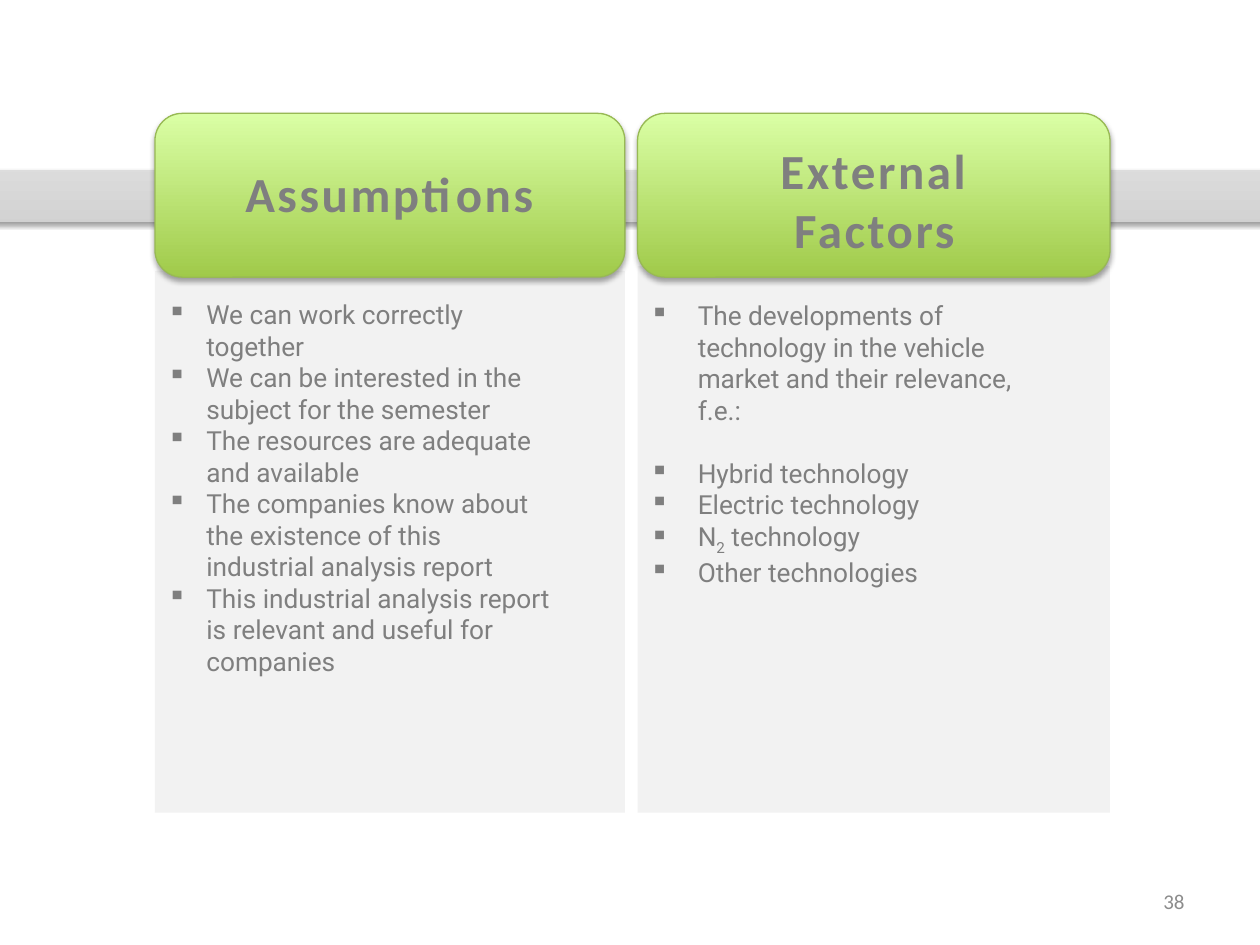
from lxml.etree import SubElement
from pptx import Presentation
from pptx.dml.color import RGBColor
from pptx.enum.shapes import MSO_SHAPE as Shape
from pptx.enum.text import MSO_ANCHOR as Anchor, MSO_AUTO_SIZE as AutoSize, PP_ALIGN as Align
from pptx.oxml.ns import qn
from pptx.util import Inches, Pt

GREY_TEXT = "7F7F7F"
PANEL_BOTTOM = 6.45
HEADER_TOP, HEADER_HEIGHT = 0.9, 1.3
BAND_STOPS = [(0, "BDBDBD"), (35, "D1D1D1"), (100, "EEEEEE")]
HEADER_STOPS = [(0, "A0CA4A"), (100, "DAFFA5")]

# left, width, panel top, heading box, bullet box top, bullet box size, indent, bullets
COLUMNS = [
    dict(left=1.23, width=3.73, panel_top=2.15,
         heading="Assumptions", heading_box=(1.7, 1.25, 2.78, 0.57),
         list_box=(1.23, 2.32, 3.24, 3.13), indent=0.31, gap_before=None,
         bullets=["We can work correctly together",
                  "We can be interested in the subject for the semester",
                  "The resources are adequate and available",
                  "The companies know about the existence of this industrial analysis report",
                  "This industrial analysis report is relevant and useful for companies"]),
    dict(left=5.06, width=3.75, panel_top=2.11,
         heading="External Factors", heading_box=(5.42, 1.07, 3.04, 1.04),
         list_box=(5.06, 2.33, 3.26, 2.37), indent=0.38, gap_before="Hybrid technology",
         bullets=["The developments of technology in the vehicle market and their relevance, f.e.:",
                  "Hybrid technology",
                  "Electric technology",
                  ("N", "2", " technology"),
                  "Other technologies"]),
]


def color(hex_string):
    return RGBColor.from_string(hex_string)


def add_shape(slide, kind, box, line=None):
    shape = slide.shapes.add_shape(kind, *map(Inches, box))
    shape.shadow.inherit = False
    if line:
        shape.line.color.rgb = color(line)
        shape.line.width = Pt(0.75)
    else:
        shape.line.fill.background()
    return shape


def fill_gradient(shape, stops):
    """Fill from bottom to top with (percent, colour) stops."""
    shape.fill.gradient()
    shape.fill.gradient_angle = 90
    stop_list = shape._element.spPr.find(".//" + qn("a:gsLst"))
    for old_stop in list(stop_list):
        stop_list.remove(old_stop)
    for percent, hex_string in stops:
        stop = SubElement(stop_list, qn("a:gs"), pos=str(percent * 1000))
        SubElement(stop, qn("a:srgbClr"), val=hex_string)


def add_shadow(shape, opacity, distance):
    """Cast a black shadow straight down."""
    effects = shape._element.spPr.find(qn("a:effectLst"))
    shadow = SubElement(effects, qn("a:outerShdw"), blurRad=str(Pt(3.1)),
                        dist=str(Pt(distance)), dir="5400000", rotWithShape="0")
    black = SubElement(shadow, qn("a:srgbClr"), val="000000")
    SubElement(black, qn("a:alpha"), val=str(opacity * 1000))


def add_text_frame(slide, box):
    text_frame = slide.shapes.add_textbox(*map(Inches, box)).text_frame
    text_frame.word_wrap = True
    return text_frame


def format_run(run, font_name, size, hex_string, bold=False):
    run.font.name = font_name
    run.font.size = Pt(size)
    run.font.bold = bold
    run.font.color.rgb = color(hex_string)


def add_label(slide, box, text, align, size, hex_string, bold=False):
    text_frame = add_text_frame(slide, box)
    text_frame.text = text
    paragraph = text_frame.paragraphs[0]
    paragraph.alignment = align
    format_run(paragraph.runs[0], "Calibri", size, hex_string, bold)
    return text_frame


def add_heading(slide, box, text):
    text_frame = add_label(slide, box, text, Align.CENTER, 28, GREY_TEXT, bold=True)
    text_frame.auto_size = AutoSize.SHAPE_TO_FIT_TEXT
    text_frame.paragraphs[0].runs[0]._r.get_or_add_rPr().set("spc", "150")


def set_bullet(paragraph, indent):
    properties = paragraph._p.get_or_add_pPr()
    properties.set("marL", str(Inches(indent)))
    properties.set("indent", str(-Inches(indent)))
    SubElement(properties, qn("a:buChar"), char="▪")


def add_bullets(slide, box, bullets, indent, gap_before):
    """Write a list; a tuple holds the text before, in and after a subscript."""
    text_frame = add_text_frame(slide, box)
    text_frame.auto_size = AutoSize.SHAPE_TO_FIT_TEXT
    for index, bullet in enumerate(bullets):
        paragraph = text_frame.add_paragraph() if index else text_frame.paragraphs[0]
        set_bullet(paragraph, indent)
        if bullet == gap_before:
            paragraph.space_before = Pt(18)
        parts = (bullet,) if isinstance(bullet, str) else bullet
        for position, part in enumerate(parts):
            run = paragraph.add_run()
            run.text = part
            format_run(run, "Roboto", 15, GREY_TEXT)
            if position == 1:
                run._r.get_or_add_rPr().set("baseline", "-25000")


def add_panel(slide, column):
    top = column["panel_top"]
    panel = add_shape(slide, Shape.RECTANGLE,
                      (column["left"], top, column["width"], PANEL_BOTTOM - top))
    panel.fill.solid()
    panel.fill.fore_color.rgb = color("F2F2F2")


def add_band(slide):
    band = add_shape(slide, Shape.MATH_MINUS, (-2.03, 0.69, 13.9, 1.73))
    fill_gradient(band, BAND_STOPS)
    add_shadow(band, 38, 1.6)


def add_header(slide, column):
    header = add_shape(slide, Shape.ROUNDED_RECTANGLE,
                       (column["left"], HEADER_TOP, column["width"], HEADER_HEIGHT),
                       line="98B955")
    fill_gradient(header, HEADER_STOPS)
    add_shadow(header, 35, 1.8)


def main():
    presentation = Presentation()
    presentation.slide_width, presentation.slide_height = Inches(10), Inches(7.5)
    slide = presentation.slides.add_slide(presentation.slide_layouts[6])

    for column in COLUMNS:
        add_panel(slide, column)
    add_band(slide)
    for column in COLUMNS:
        add_header(slide, column)
        add_heading(slide, column["heading_box"], column["heading"])
        add_bullets(slide, column["list_box"], column["bullets"],
                    column["indent"], column["gap_before"])
    page_number = add_label(slide, (7.17, 6.95, 2.33, 0.4), "38", Align.RIGHT, 12, "8C8C8C")
    page_number.vertical_anchor = Anchor.MIDDLE

    presentation.save("out.pptx")


if __name__ == "__main__":
    main()
